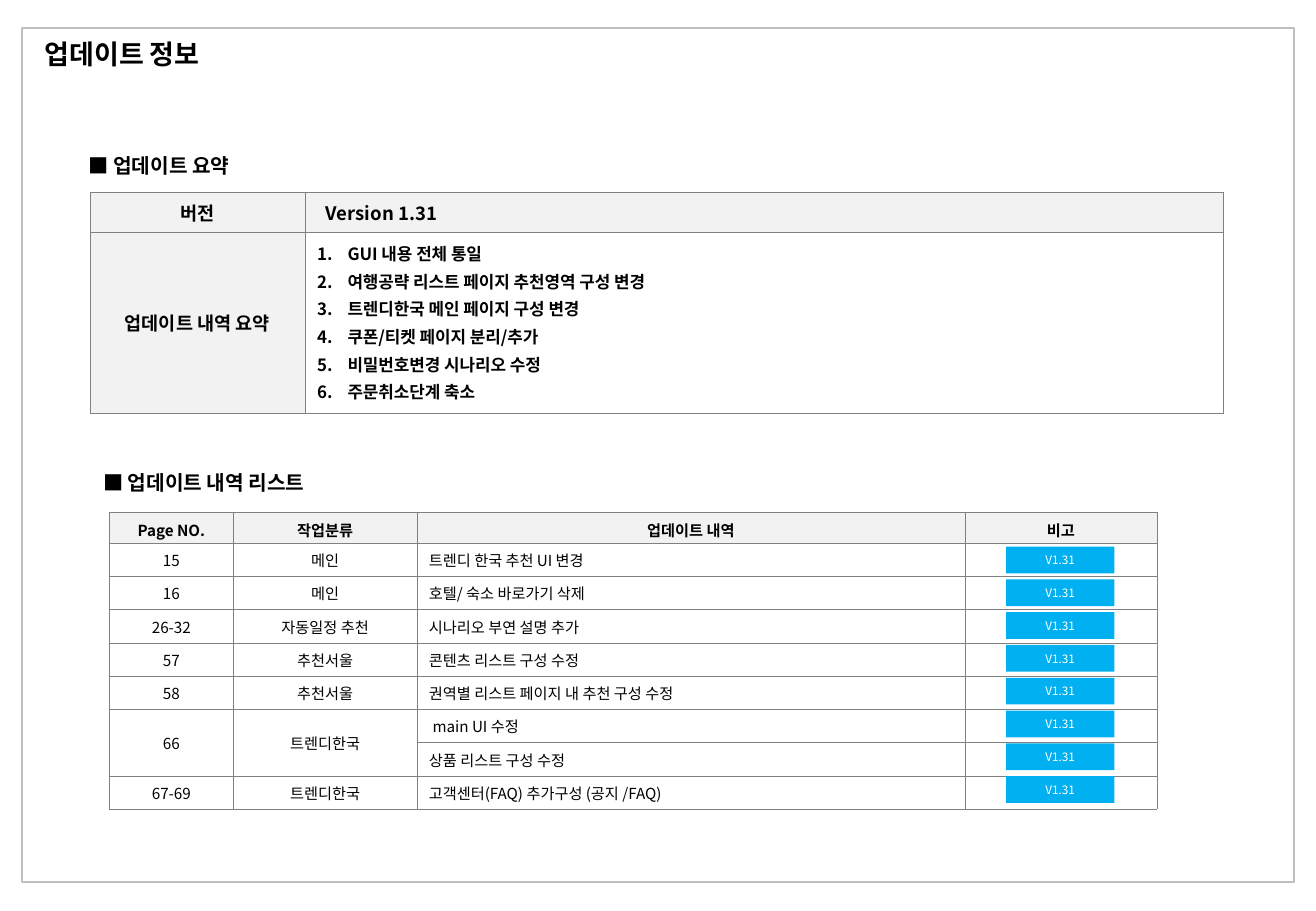
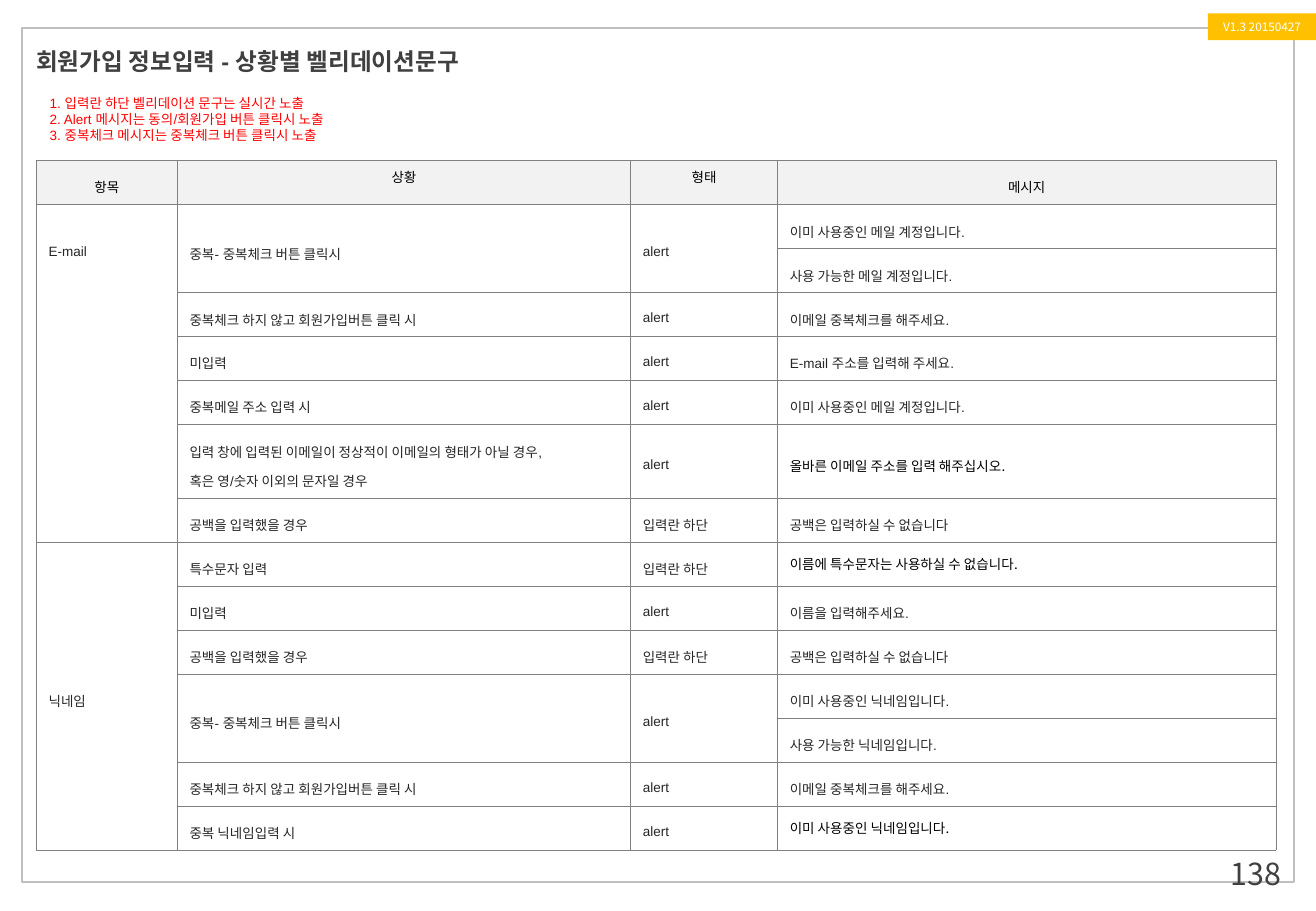
from lxml import etree
from pptx import Presentation
from pptx.dml.color import RGBColor
from pptx.enum import shapes, text
from pptx.oxml import ns
from pptx.util import Inches, Pt

COLORS = {
    "black": "000000", "white": "FFFFFF", "ink": "262626", "dark": "404040",
    "frame": "BFBFBF", "grid": "808080", "head": "F2F2F2",
    "blue": "00B0F0", "amber": "FFC000", "red": "FF0000",
}
NOTO, ARIAL = "Noto Sans CJK KR", "Arial"
LEFT, CENTER, RIGHT = text.PP_ALIGN.LEFT, text.PP_ALIGN.CENTER, text.PP_ALIGN.RIGHT
TOP, MIDDLE = text.MSO_ANCHOR.TOP, text.MSO_ANCHOR.MIDDLE

SUMMARY = [
    "GUI 내용 전체 통일",
    "여행공략 리스트 페이지 추천영역 구성 변경",
    "트렌디한국 메인 페이지 구성 변경",
    "쿠폰/티켓 페이지 분리/추가",
    "비밀번호변경 시나리오 수정",
    "주문취소단계 축소",
]
CHANGES = [
    ["Page NO.", "작업분류", "업데이트 내역", "비고"],
    ["15", "메인", "트렌디 한국 추천 UI 변경", ""],
    ["16", "메인", "호텔/ 숙소 바로가기 삭제", ""],
    ["26-32", "자동일정 추천", "시나리오 부연 설명 추가", ""],
    ["57", "추천서울", "콘텐츠 리스트 구성 수정", ""],
    ["58", "추천서울", "권역별 리스트 페이지 내 추천 구성 수정", ""],
    ["66", "트렌디한국", "main UI 수정", ""],
    ["", "", "상품 리스트 구성 수정", ""],
    ["67-69", "트렌디한국", "고객센터(FAQ) 추가구성 (공지 /FAQ)", ""],
]
RULES = [
    "1. 입력란 하단 벨리데이션 문구는 실시간 노출",
    "2. Alert 메시지는 동의/회원가입 버튼 클릭시 노출",
    "3. 중복체크 메시지는 중복체크 버튼 클릭시 노출",
]
MESSAGES = [
    ["항목", "상황", "형태", "메시지"],
    ["E-mail", "중복- 중복체크 버튼 클릭시", "alert", "이미 사용중인 메일 계정입니다."],
    ["", "", "", "사용 가능한 메일 계정입니다."],
    ["", "중복체크 하지 않고 회원가입버튼 클릭 시", "alert", "이메일 중복체크를 해주세요."],
    ["", "미입력", "alert", "E-mail 주소를 입력해 주세요."],
    ["", "중복메일 주소 입력 시", "alert", "이미 사용중인 메일 계정입니다."],
    ["", ["입력 창에 입력된 이메일이 정상적이 이메일의 형태가 아닐 경우,",
          "혹은 영/숫자 이외의 문자일 경우"], "alert", "올바른 이메일 주소를 입력 해주십시오."],
    ["", "공백을 입력했을 경우", "입력란 하단", "공백은 입력하실 수 없습니다"],
    ["닉네임", "특수문자 입력", "입력란 하단", "이름에 특수문자는 사용하실 수 없습니다."],
    ["", "미입력", "alert", "이름을 입력해주세요."],
    ["", "공백을 입력했을 경우", "입력란 하단", "공백은 입력하실 수 없습니다"],
    ["", "중복- 중복체크 버튼 클릭시", "alert", "이미 사용중인 닉네임입니다."],
    ["", "", "", "사용 가능한 닉네임입니다."],
    ["", "중복체크 하지 않고 회원가입버튼 클릭 시", "alert", "이메일 중복체크를 해주세요."],
    ["", "중복 닉네임입력 시", "alert", "이미 사용중인 닉네임입니다."],
]


def rgb(name):
    """Return the palette colour called name."""
    return RGBColor.from_string(COLORS[name])


def add_xml(parent, tag, **attrs):
    """Append a DrawingML element to parent."""
    return etree.SubElement(parent, ns.qn(tag), attrs)


def write(tf, lines, size, font=NOTO, color="black", bold=False, align=LEFT,
          spacing=None, gap=0, numbered=False):
    """Write one paragraph per line, all in one style."""
    for i, line in enumerate([lines] if isinstance(lines, str) else lines):
        p = tf.paragraphs[0] if i == 0 else tf.add_paragraph()
        p.text = line
        p.alignment = align
        if spacing:
            p.line_spacing = spacing
        if i and gap:
            p.space_before = Pt(gap)
        pPr = p._p.get_or_add_pPr()
        if numbered:
            pPr.set("marL", str(Inches(0.25)))
            pPr.set("indent", str(-Inches(0.25)))
            add_xml(pPr, "a:buFont", typeface="+mj-lt")
            add_xml(pPr, "a:buAutoNum", type="arabicPeriod")
        p.font.size, p.font.bold = Pt(size), bold
        p.font.color.rgb = rgb(color)
        p.font.name = font
        add_xml(pPr.find(ns.qn("a:defRPr")), "a:ea", typeface=NOTO)
        if not line:
            add_xml(p._p, "a:endParaRPr", sz=str(size * 100))


def add_text(slide, box, lines, size, anchor=TOP, **style):
    """Place a wrapping text box."""
    tf = slide.shapes.add_textbox(*map(Inches, box)).text_frame
    tf.word_wrap = True
    tf.vertical_anchor = anchor
    write(tf, lines, size, **style)


def add_rect(slide, box, fill=None, line=None):
    """Place a rectangle with an optional fill and outline."""
    sp = slide.shapes.add_shape(shapes.MSO_SHAPE.RECTANGLE, *map(Inches, box))
    sp.shadow.inherit = False
    if fill:
        sp.fill.solid()
        sp.fill.fore_color.rgb = rgb(fill)
    else:
        sp.fill.background()
    if line:
        sp.line.color.rgb = rgb(line)
        sp.line.width = Pt(1)
    else:
        sp.line.fill.background()
    return sp


def add_badge(slide, left, top, label, fill):
    """Place a small version badge."""
    tf = add_rect(slide, (left, top, 0.89, 0.22), fill).text_frame
    tf.margin_left = tf.margin_right = tf.margin_top = tf.margin_bottom = 0
    tf.vertical_anchor = MIDDLE
    write(tf, label, 7, color="white", align=CENTER)


def set_borders(cell, sides):
    """Draw hairlines on the given sides of a cell and none on the others."""
    tcPr = cell._tc.get_or_add_tcPr()
    for i, side in enumerate("LRTB"):
        ln = etree.Element(ns.qn(f"a:ln{side}"), w=str(Pt(0.25)))
        if side in sides:
            add_xml(add_xml(ln, "a:solidFill"), "a:srgbClr", val=COLORS["grid"])
        else:
            add_xml(ln, "a:noFill")
        tcPr.insert(i, ln)


def add_grid(slide, box, cols, rows, data, style, merges=(), open_sides=None):
    """Place a table; style(row, col) gives fill, anchor, margin and text style."""
    tbl = slide.shapes.add_table(len(rows), len(cols), *map(Inches, box)).table
    tbl.first_row = tbl.horz_banding = False
    for col, width in zip(tbl.columns, cols):
        col.width = Inches(width)
    for r, height in enumerate(rows):
        tbl.rows[r].height = Inches(height)
        for c in range(len(cols)):
            cell = tbl.cell(r, c)
            look = {"fill": "white", "anchor": MIDDLE, "margin": 0.1, **style(r, c)}
            cell.fill.solid()
            cell.fill.fore_color.rgb = rgb(look.pop("fill"))
            cell.vertical_anchor = look.pop("anchor")
            cell.margin_left = Inches(look.pop("margin"))
            write(cell.text_frame, data[r][c], **look)
            set_borders(cell, (open_sides or {}).get((r, c), "LRTB"))
    for first, last in merges:
        tbl.cell(*first).merge(tbl.cell(*last))


def summary_style(r, c):
    """Style the version summary table."""
    if (r, c) == (1, 1):
        return dict(size=10, bold=True, gap=2, numbered=True)
    look = dict(fill="head", size=11, bold=True)
    return {**look, "align": CENTER} if c == 0 else {**look, "margin": 0.17}


def change_style(r, c):
    """Style the change list table."""
    if r == 0:
        return dict(fill="head", size=9, bold=True, align=CENTER)
    return dict(size=9, align=LEFT if c == 2 else CENTER,
                margin=0.13 if (r, c) == (6, 2) else 0.1)


def message_style(r, c):
    """Style the validation message table."""
    if r == 0:
        look = dict(fill="head", anchor=TOP, size=8, align=CENTER)
        return look if c in (1, 2) else {**look, "font": ARIAL, "spacing": 1.5}
    if c == 3 and r in (6, 8, 14):
        return dict(size=8, spacing=1.5 if r == 6 else None)
    return dict(size=8, font=ARIAL, color="ink", spacing=1.5)


def new_slide(prs):
    """Add a blank slide with the shared page frame."""
    slide = prs.slides.add_slide(prs.slide_layouts[6])
    add_rect(slide, (0.18, 0.23, 10.47, 7.03), line="frame")
    return slide


def add_section(slide, left, top, heading):
    """Place a section heading."""
    add_text(slide, (left, top, 3.03, 0.31), f"■ {heading}", 12, bold=True)


def update_slide(prs):
    """Build the update information slide."""
    slide = new_slide(prs)
    add_text(slide, (0.27, 0.26, 2.85, 0.38), "업데이트 정보", 16, bold=True)
    add_section(slide, 0.63, 1.21, "업데이트 요약")
    add_grid(slide, (0.74, 1.58, 9.33, 1.82), [1.77, 7.56], [0.33, 1.49],
             [["버전", "Version 1.31"], ["업데이트 내역 요약", SUMMARY]], summary_style)
    add_section(slide, 0.75, 3.82, "업데이트 내역 리스트")
    count = len(CHANGES) - 1
    pitch = (2.44 - 0.25) / count
    add_grid(slide, (0.9, 4.22, 8.62, 2.44), [1.02, 1.51, 4.51, 1.58],
             [0.25] + [pitch] * count, CHANGES, change_style,
             [((6, c), (7, c)) for c in (0, 1)])
    for i in range(count):
        add_badge(slide, 8.28, 4.5 + 0.27 * i, "V1.31", "blue")


def validation_slide(prs):
    """Build the sign-up validation message slide."""
    slide = new_slide(prs)
    add_text(slide, (8.11, 6.99, 2.53, 0.4), "138", 18, color="dark", align=RIGHT)
    add_badge(slide, 9.94, 0.11, "V1.3 20150427", "amber")
    rows = [(5.68 - 0.61) / 14] * len(MESSAGES)
    rows[6] = 0.61
    merges = [((1, c), (2, c)) for c in (0, 1, 2)]
    merges += [((3, 0), (7, 0)), ((8, 0), (14, 0))]
    merges += [((11, c), (12, c)) for c in (1, 2)]
    open_sides = {(r, 0): "LR" for r in range(2, 7)}
    open_sides.update({(1, 0): "LRT", (3, 0): "LRB", (7, 0): "LRB"})
    add_grid(slide, (0.3, 1.32, 10.2, 5.68), [1.16, 3.73, 1.21, 4.1], rows,
             MESSAGES, message_style, merges, open_sides)
    add_text(slide, (0.31, 0.73, 3.66, 0.5), RULES, 8, font=ARIAL, color="red")
    add_text(slide, (0.2, 0.24, 4.53, 0.53), "회원가입 정보입력 - 상황별 벨리데이션문구", 14,
             anchor=MIDDLE, font=ARIAL, color="dark", bold=True)


def main():
    """Build and save the presentation."""
    prs = Presentation()
    prs.slide_width, prs.slide_height = Inches(10.83), Inches(7.5)
    update_slide(prs)
    validation_slide(prs)
    prs.save("out.pptx")


if __name__ == "__main__":
    main()
